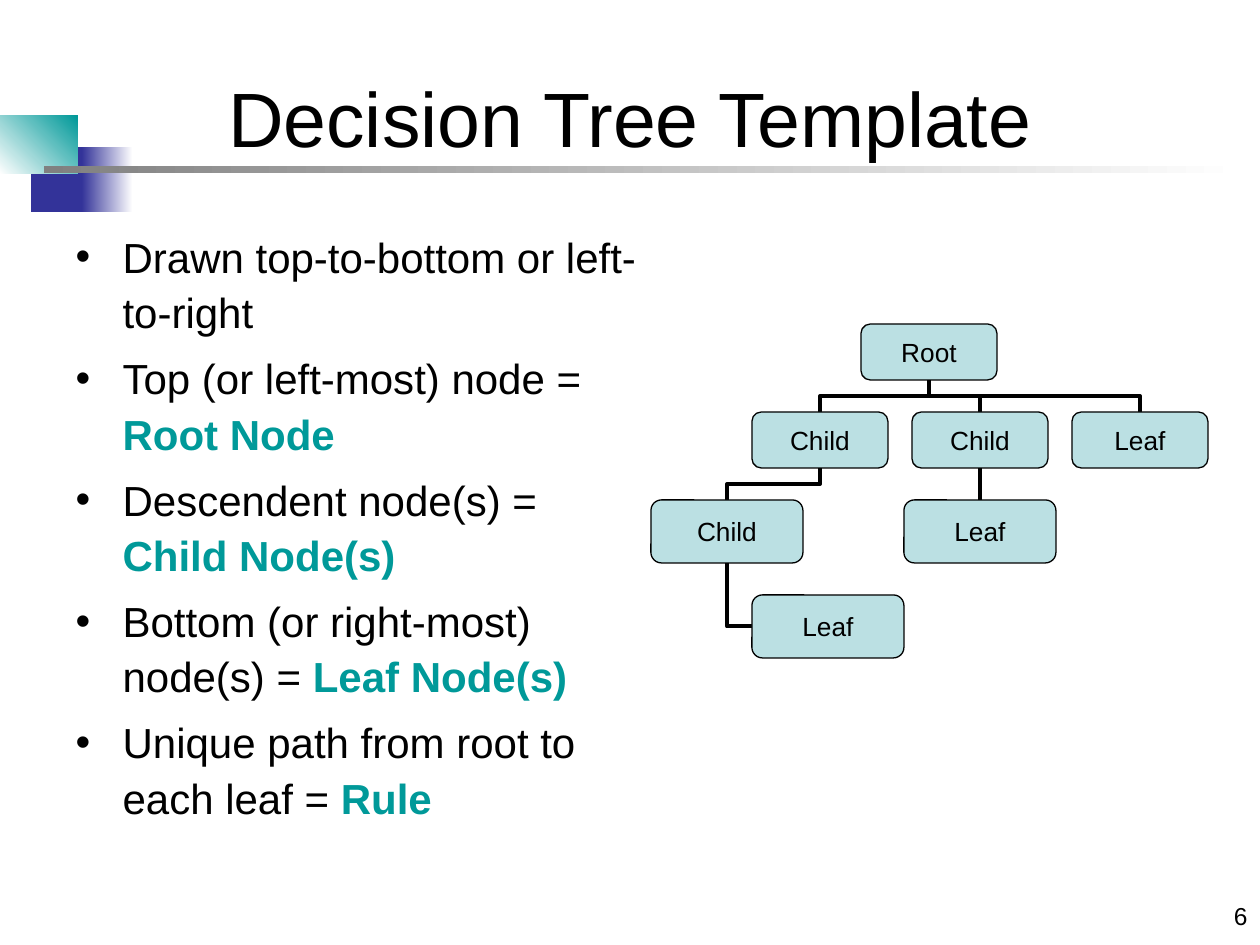
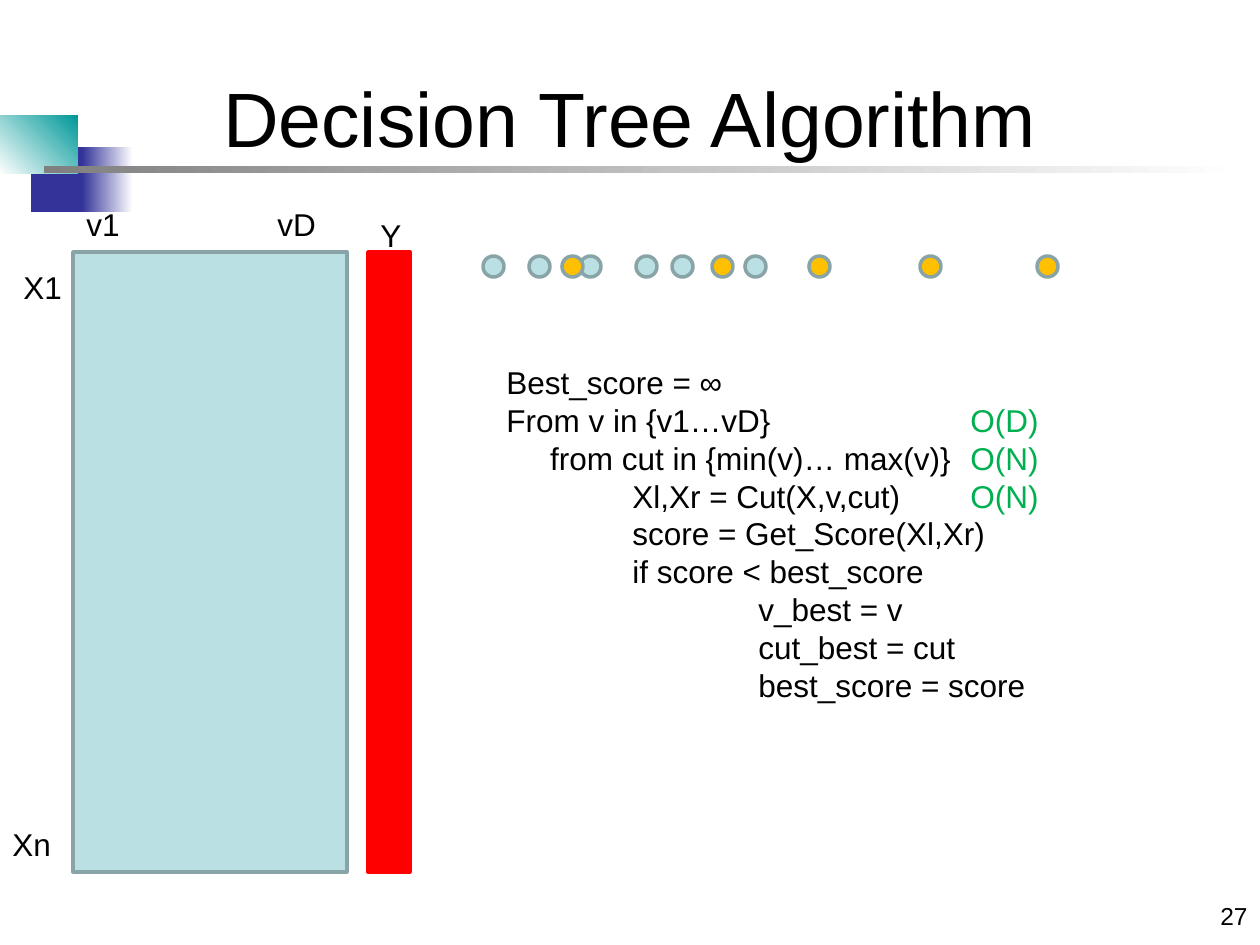
from dataclasses import dataclass
from typing import NamedTuple

from lxml import etree
from pptx import Presentation
from pptx.dml.color import RGBColor
from pptx.enum.shapes import MSO_CONNECTOR, MSO_SHAPE
from pptx.enum.text import MSO_ANCHOR, MSO_AUTO_SIZE, PP_ALIGN
from pptx.oxml.ns import qn
from pptx.util import Emu, Pt

RECTANGLE, ROUNDED, OVAL = MSO_SHAPE.RECTANGLE, MSO_SHAPE.ROUNDED_RECTANGLE, MSO_SHAPE.OVAL
STRAIGHT, ELBOW = MSO_CONNECTOR.STRAIGHT, MSO_CONNECTOR.ELBOW
LEFT, CENTER, RIGHT = PP_ALIGN.LEFT, PP_ALIGN.CENTER, PP_ALIGN.RIGHT
MIDDLE, TOP = MSO_ANCHOR.MIDDLE, MSO_ANCHOR.TOP
NO_AUTOFIT = MSO_AUTO_SIZE.NONE

EMU_PER_PX = 914400 / 126
FONT = "Arial"
BLACK, WHITE, GRAY = "000000", "FFFFFF", "808080"
NAVY, TEAL, GREEN = "333399", "009999", "00B050"
PALE, SLATE, GOLD, RED = "BBE0E3", "89A4A7", "FFC000", "FF0000"


class Box(NamedTuple):
    left: int
    top: int
    width: int
    height: int


class Run(NamedTuple):
    text: str
    color: str = BLACK
    bold: bool = False


@dataclass
class Band:
    box: Box
    start: str
    end: str
    angle: int = 0


@dataclass
class Node:
    name: str
    box: Box


@dataclass
class Label:
    text: str
    box: Box
    tabs: tuple[int, ...] = ()


BANDS = [
    Band(Box(31, 147, 58, 65), NAVY, NAVY),
    Band(Box(82, 147, 51, 65), NAVY, WHITE),
    Band(Box(0, 116, 78, 58), WHITE, TEAL, 45),
    Band(Box(44, 166, 1198, 7), GRAY, WHITE),
]
TITLE_BOX = Box(63, 38, 1134, 158)
NUMBER_BOX = Box(1134, 895, 126, 42)

BULLETS_BOX = Box(63, 220, 588, 624)
BULLET_INDENT = 47
BULLETS = [
    [Run("Drawn top-to-bottom or left-to-right")],
    [Run("Top (or left-most) node = "), Run("Root Node", TEAL, True)],
    [Run("Descendent node(s) = "), Run("Child Node(s)", TEAL, True)],
    [Run("Bottom (or right-most) node(s) = "), Run("Leaf Node(s)", TEAL, True)],
    [Run("Unique path from root to each leaf = "), Run("Rule", TEAL, True)],
]

ROOT = Node("Root", Box(861, 324, 136, 56))
CHILDREN = [Node(name, Box(752 + 160 * column, 412, 136, 56))
            for column, name in enumerate(["Child", "Child", "Leaf"])]
GRANDCHILD = Node("Child", Box(651, 500, 152, 63))
MIDDLE_LEAF = Node("Leaf", Box(904, 500, 152, 63))
BOTTOM_LEAF = Node("Leaf", Box(752, 595, 152, 63))

DATA_TOP, DATA_HEIGHT = 252, 620
LABELS = [
    Label("X1", Box(11, 262, 73, 50)),
    Label("Xn", Box(0, 819, 73, 50)),
    Label("v1\tvD", Box(74, 199, 272, 50), (191,)),
    Label("Y", Box(368, 210, 42, 50)),
]
DOT_TOP, DOT_SIZE = 256, 21
DOTS = {
    PALE: [483, 529, 580, 636, 672, 745],
    GOLD: [809, 562, 712, 920, 1037],
}
CODE_BOX = Box(494, 357, 575, 353)
CODE_TABS = (126, 252, 464)
CODE = [
    [Run("Best_score = ∞")],
    [Run("From v in {v1…vD}\t"), Run("O(D)", GREEN)],
    [Run("     from cut in {min(v)… max(v)}\t"), Run("O(N)", GREEN)],
    [Run("\tXl,Xr = Cut(X,v,cut)\t"), Run("O(N)", GREEN)],
    [Run("\tscore = Get_Score(Xl,Xr)")],
    [Run("\tif score < best_score")],
    [Run("\t\tv_best = v")],
    [Run("\t\tcut_best = cut")],
    [Run("\t\tbest_score = score")],
]


def px(length: float) -> Emu:
    return Emu(round(length * EMU_PER_PX))


def rgb(color: str) -> RGBColor:
    return RGBColor.from_string(color)


def place(shape, box: Box) -> None:
    shape.left, shape.top, shape.width, shape.height = map(px, box)


def add_runs(paragraph, runs: list[Run], size: int) -> None:
    for item in runs:
        run = paragraph.add_run()
        run.text = item.text
        run.font.name, run.font.size, run.font.bold = FONT, Pt(size), item.bold
        run.font.color.rgb = rgb(item.color)


def add_paragraphs(frame, lines: list[list[Run]], size: int) -> list:
    for index, runs in enumerate(lines):
        paragraph = frame.paragraphs[0] if index == 0 else frame.add_paragraph()
        add_runs(paragraph, runs, size)
    return list(frame.paragraphs)


def set_tabs(paragraph, stops: tuple[int, ...]) -> None:
    tab_list = etree.SubElement(paragraph._p.get_or_add_pPr(), qn("a:tabLst"))
    for stop in stops:
        etree.SubElement(tab_list, qn("a:tab"), pos=str(px(stop)), algn="l")


def add_text(slide, box: Box, lines: list[list[Run]], size: int = 18,
             align=LEFT, tabs: tuple[int, ...] = ()) -> None:
    text_box = slide.shapes.add_textbox(*map(px, box))
    text_box.text_frame.word_wrap = True
    for paragraph in add_paragraphs(text_box.text_frame, lines, size):
        paragraph.alignment = align
        if tabs:
            set_tabs(paragraph, tabs)


def add_block(slide, kind, box: Box, fill: str, line: str, line_width: float = 2):
    shape = slide.shapes.add_shape(kind, *map(px, box))
    shape.shadow.inherit = False
    shape.fill.solid()
    shape.fill.fore_color.rgb = rgb(fill)
    shape.line.color.rgb = rgb(line)
    shape.line.width = Pt(line_width)
    return shape


def add_bands_to_master(presentation, slide) -> None:
    """Draw the bands on a slide, then move them to the master all slides share."""
    for band in BANDS:
        shape = slide.shapes.add_shape(RECTANGLE, *map(px, band.box))
        shape.shadow.inherit = False
        shape.line.fill.background()
        shape.fill.gradient()
        shape.fill.gradient_angle = band.angle
        for stop, color in zip(shape.fill.gradient_stops, (band.start, band.end)):
            stop.color.rgb = rgb(color)
        presentation.slide_master.shapes._spTree.append(shape._element)


def start_slide(presentation, layout: int, title: str, number: int):
    slide = presentation.slides.add_slide(presentation.slide_layouts[layout])
    place(slide.shapes.title, TITLE_BOX)
    frame = slide.shapes.title.text_frame
    frame.auto_size, frame.vertical_anchor = NO_AUTOFIT, MIDDLE
    add_runs(frame.paragraphs[0], [Run(title)], 44)
    frame.paragraphs[0].alignment = CENTER
    add_text(slide, NUMBER_BOX, [[Run(str(number))]], 14, RIGHT)
    return slide


def add_node(slide, node: Node):
    shape = add_block(slide, ROUNDED, node.box, PALE, BLACK, 0.75)
    frame = shape.text_frame
    frame.word_wrap, frame.vertical_anchor = False, MIDDLE
    add_runs(frame.paragraphs[0], [Run(node.name)], 15)
    frame.paragraphs[0].alignment = CENTER
    return shape


def style_branch(connector) -> None:
    connector.line.color.rgb = rgb(BLACK)
    connector.line.width = Pt(2.25)
    etree.SubElement(connector._element.spPr, qn("a:effectLst"))


def add_branch(slide, parent: Box, child: Box, to_side: bool = False) -> None:
    """Leave the parent's bottom downwards; end at the child's top or left side."""
    start_x, start_y = parent.left + parent.width / 2, parent.top + parent.height
    end_x, end_y = child.left + child.width / 2, child.top
    if to_side:
        end_x, end_y = child.left, child.top + child.height / 2
    middle_x, middle_y = (start_x + end_x) / 2, (start_y + end_y) / 2
    half_x, half_y = (end_x - start_x) / 2, (end_y - start_y) / 2
    # The elbow is laid out sideways and turned, so that it starts vertically.
    connector = slide.shapes.add_connector(
        ELBOW, px(middle_x - half_y), px(middle_y + half_x),
        px(middle_x + half_y), px(middle_y - half_x))
    connector.rotation = 90
    if to_side:
        connector._element.spPr.find(qn("a:prstGeom")).set("prst", "bentConnector2")
    style_branch(connector)


def build_template_slide(presentation):
    slide = start_slide(presentation, 1, "Decision Tree Template", 6)
    body = slide.placeholders[1]
    place(body, BULLETS_BOX)
    body.text_frame.auto_size = NO_AUTOFIT
    body.text_frame.vertical_anchor = TOP
    for index, paragraph in enumerate(add_paragraphs(body.text_frame, BULLETS, 24)):
        properties = paragraph._p.get_or_add_pPr()
        properties.set("marL", str(px(BULLET_INDENT)))
        properties.set("indent", str(px(-BULLET_INDENT)))
        paragraph.line_spacing = 1.1
        paragraph.space_before = Pt(6 if index else 0)

    add_branch(slide, GRANDCHILD.box, BOTTOM_LEAF.box, to_side=True)
    add_branch(slide, CHILDREN[0].box, GRANDCHILD.box)
    for child in CHILDREN:
        add_branch(slide, ROOT.box, child.box)
    shapes = [add_node(slide, node)
              for node in (ROOT, *CHILDREN, GRANDCHILD, MIDDLE_LEAF, BOTTOM_LEAF)]
    middle_child, middle_leaf = shapes[2], shapes[5]
    connector = slide.shapes.add_connector(STRAIGHT, 0, 0, 0, 0)
    connector.begin_connect(middle_child, 2)
    connector.end_connect(middle_leaf, 0)
    style_branch(connector)
    return slide


def build_algorithm_slide(presentation) -> None:
    slide = start_slide(presentation, 5, "Decision Tree Algorithm", 27)
    add_block(slide, RECTANGLE, Box(73, DATA_TOP, 274, DATA_HEIGHT), PALE, SLATE)
    add_block(slide, RECTANGLE, Box(368, DATA_TOP, 42, DATA_HEIGHT), RED, RED)
    for label in LABELS:
        add_text(slide, label.box, [[Run(label.text)]], tabs=label.tabs)
    for color, lefts in DOTS.items():
        for left in lefts:
            add_block(slide, OVAL, Box(left, DOT_TOP, DOT_SIZE, DOT_SIZE), color, SLATE)
    add_text(slide, CODE_BOX, CODE, tabs=CODE_TABS)


def main() -> None:
    presentation = Presentation()
    presentation.slide_width, presentation.slide_height = px(1260), px(945)
    template_slide = build_template_slide(presentation)
    add_bands_to_master(presentation, template_slide)
    build_algorithm_slide(presentation)
    presentation.save("out.pptx")


if __name__ == "__main__":
    main()
